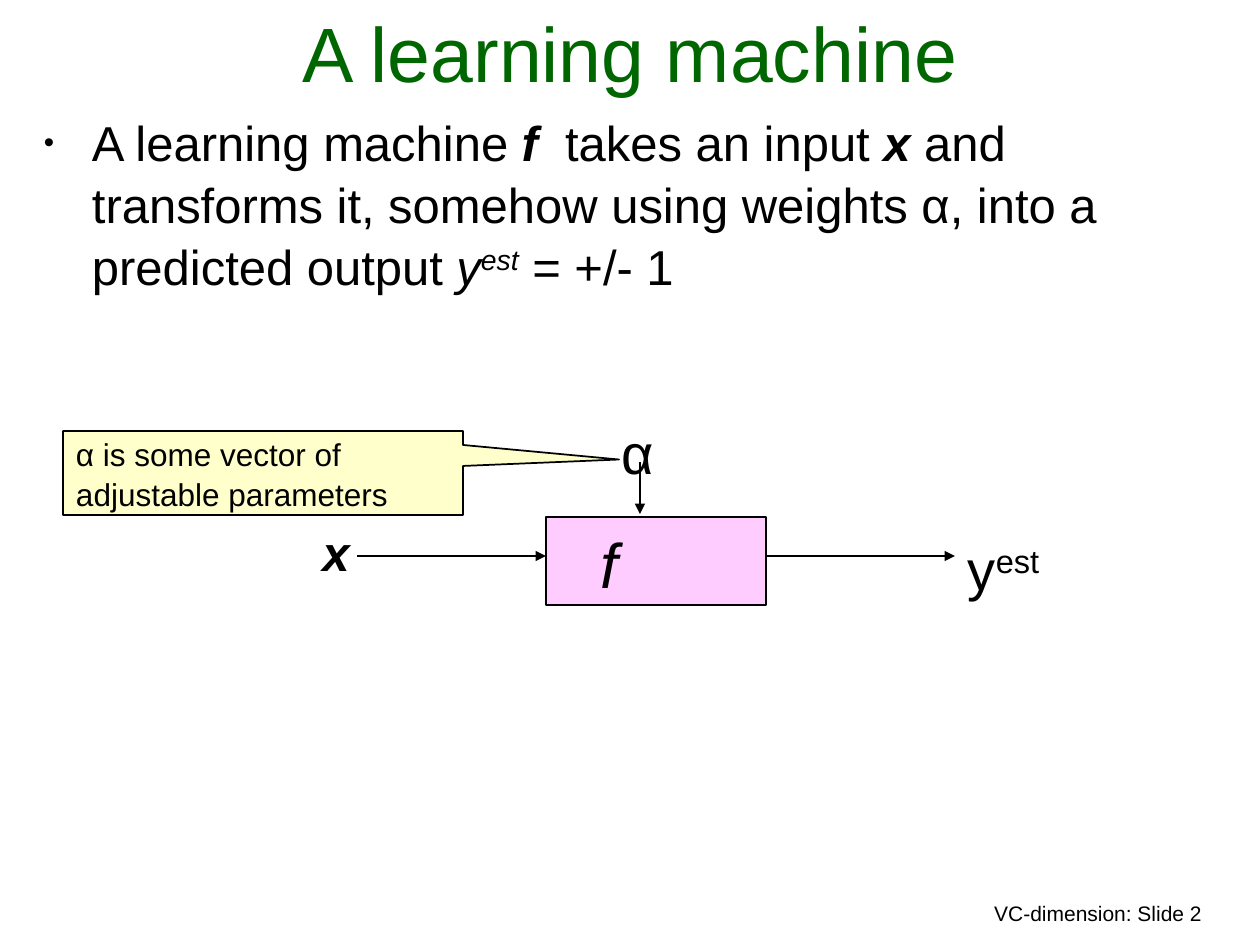
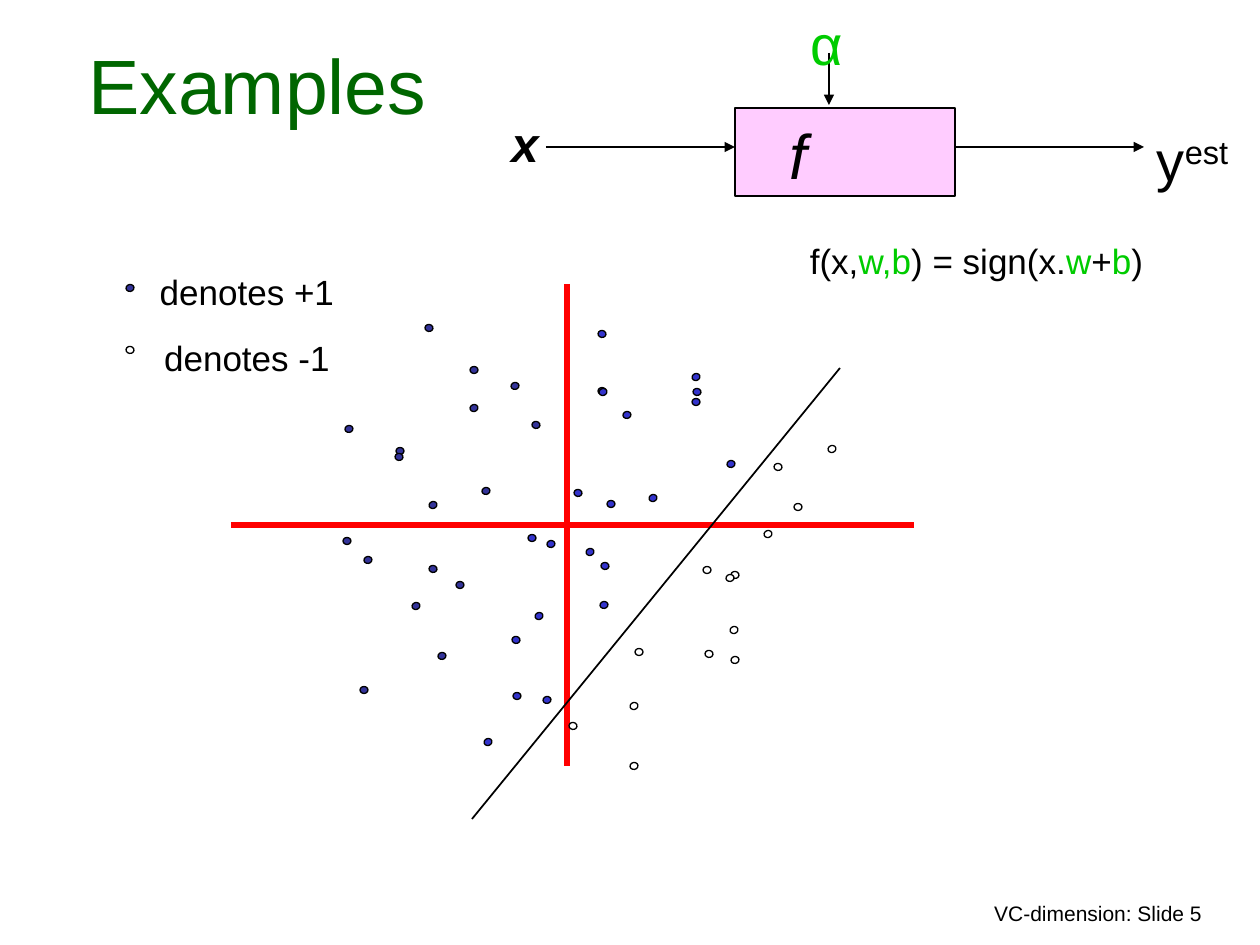
from dataclasses import dataclass

from lxml.etree import SubElement
from pptx import Presentation
from pptx.dml.color import RGBColor
from pptx.enum.shapes import MSO_CONNECTOR, MSO_SHAPE
from pptx.enum.text import MSO_ANCHOR, PP_ALIGN
from pptx.oxml.ns import qn
from pptx.util import Emu, Pt

EMU_PER_PX = 914400 / 126


@dataclass(frozen=True)
class Theme:
    font: str = "Arial"
    ink: str = "000000"
    title: str = "006600"
    accent: str = "00CC00"
    machine: str = "FFCCFF"
    note: str = "FFFFCC"
    axis: str = "FF0000"
    navy: str = "333399"
    blue: str = "3333CC"
    white: str = "FFFFFF"
    title_size: int = 44
    function_size: int = 36
    symbol_size: int = 32
    body_size: int = 28
    label_size: int = 20
    note_size: int = 18
    footer_size: int = 12
    leading: float = 1.05


T = Theme()
BOLD_ITALIC = {"bold": True, "italic": True}
ITALIC = {"italic": True}
SUPER = {"baseline": 30000}

# Dot centres by fill and tilt in degrees, measured from the plot's top left corner
DOTS = {
    T.navy: {
        0: [(260, 385), (147, 341), (274, 170), (164, 490), (200, 251)],
        -18.6: [(216, 406), (274, 208), (233, 305)],
        8.2: [(336, 225), (199, 257), (233, 369), (229, 128)],
        -10.4: [(286, 291), (168, 360), (242, 456), (315, 186), (149, 229)],
    },
    T.blue: {
        0: [(332, 338), (317, 496), (402, 191), (411, 304), (496, 202)],
        -18.6: [(339, 416), (390, 352), (403, 192), (453, 298), (288, 542),
                (496, 177)],
        8.2: [(378, 293), (402, 134), (405, 366), (497, 192), (316, 440)],
        -10.4: [(351, 344), (404, 405), (531, 264), (427, 215), (347, 500)],
    },
    T.white: {
        0: [(598, 307), (439, 452), (507, 370)],
        -18.6: [(632, 249), (434, 506), (534, 430), (568, 334)],
        8.2: [(373, 526), (535, 375), (578, 267), (509, 454)],
        -10.4: [(434, 566), (530, 378), (535, 460)],
    },
}


def px(n):
    return Emu(round(n * EMU_PER_PX))


def box_px(left, top, width, height):
    return px(left), px(top), px(width), px(height)


def shift(origin, box):
    """Move a box, or a point, from region coordinates to the slide."""
    return origin[0] + box[0], origin[1] + box[1], *box[2:]


def write(sp, paragraphs, size, color=T.ink, align=PP_ALIGN.LEFT,
          anchor=MSO_ANCHOR.TOP, left_inset=13, gap=0):
    """Fill a shape with paragraphs, each a list of (text, format) runs."""
    tf = sp.text_frame
    frame = {"word_wrap": True, "vertical_anchor": anchor,
             "margin_left": px(left_inset), "margin_right": px(13),
             "margin_top": px(6), "margin_bottom": px(6)}
    for name, value in frame.items():
        setattr(tf, name, value)
    for i, runs in enumerate(paragraphs):
        p = tf.add_paragraph() if i else tf.paragraphs[0]
        p.alignment = align
        p.line_spacing = T.leading
        p.space_before = Pt(gap if i else 0)
        for text, style in runs:
            r = p.add_run()
            r.text = text
            style = {"name": T.font, "size": Pt(size), "color": color, **style}
            r.font.color.rgb = RGBColor.from_string(style.pop("color"))
            if "baseline" in style:
                r.font._element.set("baseline", str(style.pop("baseline")))
            for name, value in style.items():
                setattr(r.font, name, value)


def add_text(s, box, paragraphs, size, **layout):
    sp = s.shapes.add_textbox(*box_px(*box))
    write(sp, paragraphs, size, **layout)
    return sp


def add_filled(s, kind, box, fill, line_width=1):
    sp = s.shapes.add_shape(kind, *box_px(*box))
    sp.shadow.inherit = False
    sp.fill.solid()
    sp.fill.fore_color.rgb = RGBColor.from_string(fill)
    sp.line.color.rgb = RGBColor.from_string(T.ink)
    sp.line.width = Pt(line_width)
    return sp


def add_line(s, start, end, color=T.ink, width=1, arrow=False):
    line = s.shapes.add_connector(
        MSO_CONNECTOR.STRAIGHT, *map(px, (*start, *end)))
    line.line.color.rgb = RGBColor.from_string(color)
    line.line.width = Pt(width)
    if arrow:
        SubElement(line.line._get_or_add_ln(), qn("a:tailEnd"), type="triangle")
    SubElement(line._element.spPr, qn("a:effectLst"))


def add_dot(s, center, fill, tilt=0):
    x, y = center
    sp = add_filled(s, MSO_SHAPE.OVAL, (x - 4, y - 3.5, 8, 7), fill, 0.75)
    sp.rotation = tilt


def add_bullet(sp):
    pPr = sp.text_frame.paragraphs[0]._p.get_or_add_pPr()
    pPr.set("marL", str(px(48)))
    pPr.set("indent", str(px(-48)))
    SubElement(pPr, qn("a:buSzPct"), val="60000")
    SubElement(pPr, qn("a:buFont"), typeface=T.font)
    SubElement(pPr, qn("a:buChar"), char="•")


def new_slide(prs, title, title_box, number):
    s = prs.slides.add_slide(prs.slide_layouts[6])
    add_text(s, (721, 893, 494, 38), [[(f"VC-dimension: Slide {number}", {})]],
             T.footer_size, align=PP_ALIGN.RIGHT)
    add_text(s, title_box, [[(title, {})]], T.title_size, color=T.title,
             align=PP_ALIGN.CENTER, anchor=MSO_ANCHOR.BOTTOM)
    return s


def draw_machine(s, origin, alpha_color=T.ink):
    """Block f with input x, weights α and output y, from its top left corner."""
    block = add_filled(s, MSO_SHAPE.RECTANGLE,
                       shift(origin, (252, 108, 220, 88)), T.machine)
    write(block, [[("f", ITALIC)]], T.function_size,
          anchor=MSO_ANCHOR.MIDDLE, left_inset=54)
    for start, end in (((63, 147), (252, 147)),
                       ((346, 53), (346, 105)),
                       ((472, 147), (661, 147))):
        add_line(s, shift(origin, start), shift(origin, end), arrow=True)
    center = PP_ALIGN.CENTER
    add_text(s, shift(origin, (0, 105, 84, 72)), [[("x", BOLD_ITALIC)]],
             T.body_size, align=center)
    add_text(s, shift(origin, (315, 0, 53, 81)), [[("α", {})]],
             T.symbol_size, color=alpha_color, align=center)
    add_text(s, shift(origin, (661, 116, 116, 81)),
             [[("y", {}), ("est", SUPER)]], T.symbol_size)


def draw_plot(s, origin):
    """Red axes, labelled points and the line that separates them."""
    for start, end in (((367, 84), (367, 566)), ((31, 325), (714, 325))):
        add_line(s, shift(origin, start), shift(origin, end), T.axis, 3)
    for fill, by_tilt in DOTS.items():
        for tilt, centers in by_tilt.items():
            for center in centers:
                add_dot(s, shift(origin, center), fill, tilt)
    add_line(s, shift(origin, (272, 619)), shift(origin, (640, 168)))


def draw_legend(s, box):
    add_text(s, box, [[("denotes +1", {})], [("denotes -1", {})]],
             T.label_size, align=PP_ALIGN.CENTER, gap=12.5)
    add_dot(s, shift(box[:2], (14, 26)), T.navy, -10.4)
    add_dot(s, shift(box[:2], (14, 88)), T.white, 8.2)


def build_machine_slide(prs):
    s = new_slide(prs, "A learning machine", (42, 10, 1176, 94), 2)
    body = add_text(s, (31, 104, 1182, 247), [[
        ("A learning machine ", {}), ("f", BOLD_ITALIC),
        ("  takes an input ", {}), ("x", BOLD_ITALIC),
        (" and transforms it, somehow using weights α, into a predicted output ", {}),
        ("y", ITALIC), ("est", {**ITALIC, **SUPER}), (" = +/- 1", {}),
    ]], T.body_size)
    add_bullet(body)
    draw_machine(s, (294, 409))
    note = add_filled(s, MSO_SHAPE.RECTANGULAR_CALLOUT, (63, 431, 400, 84), T.note)
    note.adjustments[0], note.adjustments[1] = 0.89, -0.16
    write(note, [[("α is some vector of adjustable parameters", {})]],
          T.note_size, anchor=MSO_ANCHOR.MIDDLE)


def build_examples_slide(prs):
    s = new_slide(prs, "Examples", (32, 42, 451, 94), 5)
    draw_machine(s, (483, 0), T.accent)
    draw_plot(s, (200, 200))
    weight = {"color": T.accent}
    add_text(s, (756, 231, 441, 55), [[
        ("f(x,", {}), ("w,b", weight), (") = sign(x.", {}), ("w", weight),
        ("+", {}), ("b", weight), (")", {}),
    ]], T.label_size, align=PP_ALIGN.CENTER)
    draw_legend(s, (116, 262, 262, 118))


def main():
    prs = Presentation()
    prs.slide_width, prs.slide_height = px(1260), px(945)
    build_machine_slide(prs)
    build_examples_slide(prs)
    prs.save("out.pptx")


if __name__ == "__main__":
    main()
